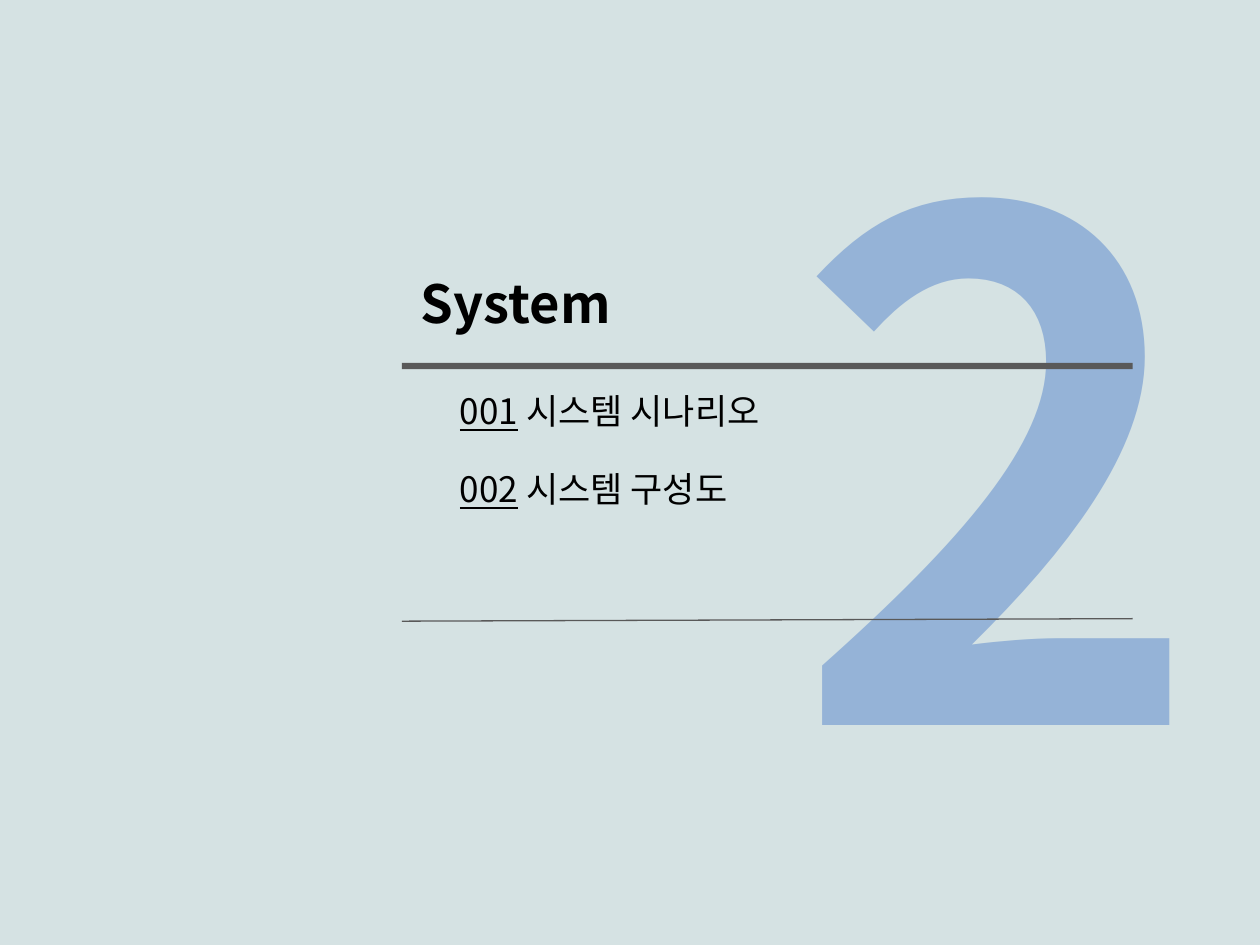
from pptx import Presentation
from pptx.dml.color import RGBColor
from pptx.enum.shapes import MSO_CONNECTOR, MSO_SHAPE
from pptx.enum.text import MSO_ANCHOR, MSO_AUTO_SIZE, PP_ALIGN
from pptx.oxml.ns import qn
from pptx.util import Inches, Pt
from lxml.etree import SubElement

FONT = "Noto Sans CJK KR"
BACKGROUND = RGBColor(0xD5, 0xE2, 0xE3)
NUMERAL_BLUE = RGBColor(0x95, 0xB3, 0xD7)
RULE_GRAY = RGBColor(0x59, 0x59, 0x59)
BLACK = RGBColor(0, 0, 0)
TOPICS = [("001", " 시스템 시나리오", 2.88), ("002", " 시스템 구성도", 2.6)]


def place(shape, left, top, width, height):
    shape.left, shape.top = Inches(left), Inches(top)
    shape.width, shape.height = Inches(width), Inches(height)


def format_text(shape, size, color, bold=False):
    frame = shape.text_frame
    frame.word_wrap = False
    frame.auto_size = MSO_AUTO_SIZE.SHAPE_TO_FIT_TEXT
    frame.vertical_anchor = MSO_ANCHOR.TOP
    para = frame.paragraphs[0]
    para.alignment = PP_ALIGN.LEFT
    para.space_before = Pt(0)
    para.font.name = FONT
    para.font.size = Pt(size)
    para.font.bold = bold
    para.font.color.rgb = color
    return para


def add_numeral(page, left, top, width, height):
    box = page.shapes.add_textbox(
        Inches(left), Inches(top), Inches(width), Inches(height))
    box.text_frame.text = "2"
    format_text(box, 400, NUMERAL_BLUE, bold=True)
    box.element.getparent().insert(2, box.element)


def fill_title(page, left, top, width, height):
    title = page.shapes.title
    place(title, left, top, width, height)
    title.text_frame.text = "System"
    format_text(title, 30, BLACK, bold=True)


def fill_topics(page, left, top, height, pitch):
    for row, (number, name, width) in enumerate(TOPICS):
        body = page.placeholders[row + 1]
        place(body, left, top + row * pitch, width, height)
        para = format_text(body, 20, BLACK)
        span = para.add_run()
        span.text = number
        span.font.underline = True
        para.add_run().text = name
        properties = para._p.get_or_add_pPr()
        properties.set("marL", "0")
        properties.set("indent", "0")
        bullet = SubElement(properties, qn("a:buNone"))
        properties.find(qn("a:spcBef")).addnext(bullet)


def add_rules(page, left, top, width, height):
    bar = page.shapes.add_shape(
        MSO_SHAPE.RECTANGLE, Inches(left), Inches(top), Inches(width), Inches(0.05))
    bar.shadow.inherit = False
    bar.fill.solid()
    bar.fill.fore_color.rgb = RULE_GRAY
    bar.line.fill.background()

    bottom = top + height
    rule = page.shapes.add_connector(
        MSO_CONNECTOR.STRAIGHT, Inches(left), Inches(bottom),
        Inches(left + width), Inches(bottom - 0.02))
    rule.line.color.rgb = RULE_GRAY
    rule.line.width = Pt(0.75)
    SubElement(rule.element.spPr, qn("a:effectLst"))


def build_section_page(deck):
    page = deck.slides.add_slide(deck.slide_layouts.get_by_name("Two Content"))
    page.background.fill.solid()
    page.background.fill.fore_color.rgb = BACKGROUND
    fill_title(page, 3.24, 2.1, 1.85, 0.61)
    fill_topics(page, 3.55, 3.04, 0.44, pitch=0.62)
    add_rules(page, 3.19, 2.88, 5.8, 2.05)
    add_numeral(page, 6.19, 0.15, 3.45, 6.83)


def main():
    deck = Presentation()
    deck.slide_width, deck.slide_height = Inches(10), Inches(7.5)
    build_section_page(deck)
    deck.save("out.pptx")


if __name__ == "__main__":
    main()
